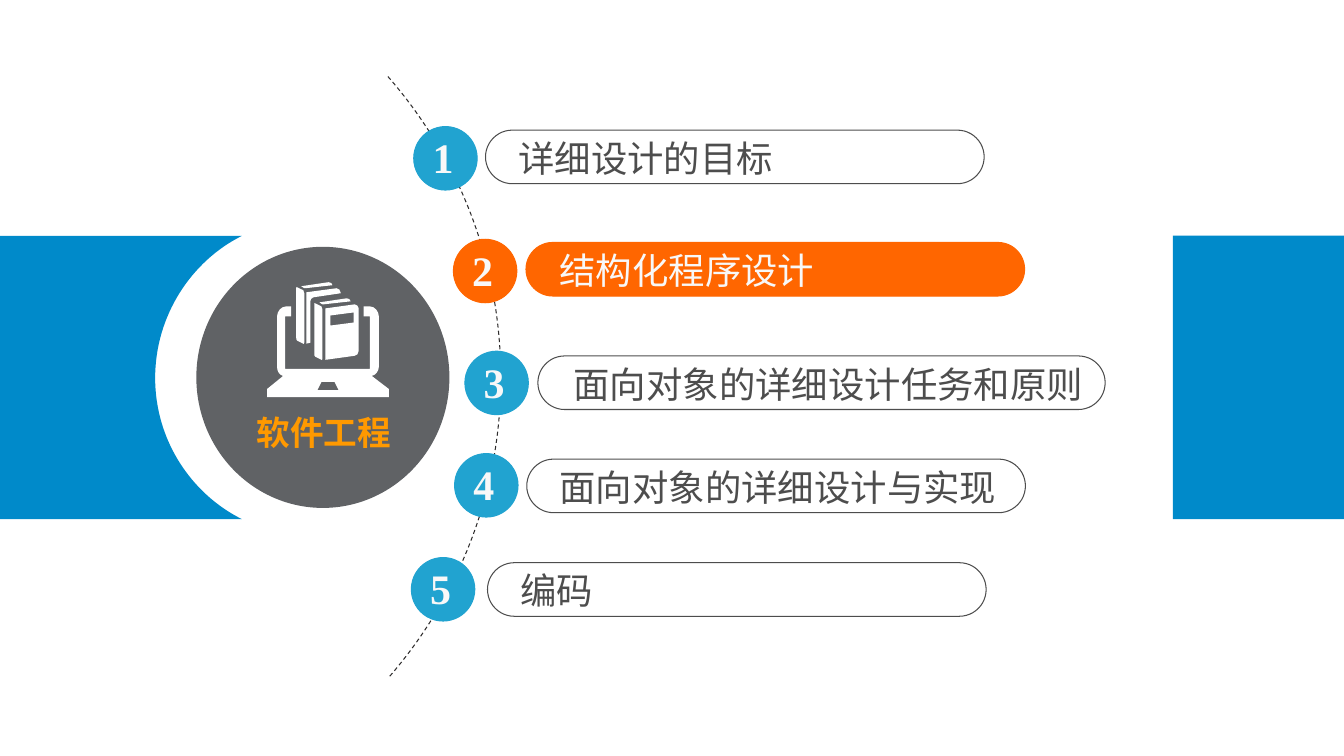
from lxml import etree
from pptx import Presentation
from pptx.dml.color import RGBColor
from pptx.enum.dml import MSO_LINE
from pptx.enum.shapes import MSO_SHAPE
from pptx.enum.text import MSO_ANCHOR, MSO_AUTO_SIZE, PP_ALIGN
from pptx.oxml.ns import qn
from pptx.util import Cm, Pt

RECTANGLE, OVAL, PILL = MSO_SHAPE.RECTANGLE, MSO_SHAPE.OVAL, MSO_SHAPE.ROUNDED_RECTANGLE
LEFT, CENTER = PP_ALIGN.LEFT, PP_ALIGN.CENTER
MIDDLE, NO_FIT, DASH = MSO_ANCHOR.MIDDLE, MSO_AUTO_SIZE.NONE, MSO_LINE.DASH

BLUE = RGBColor(0x00, 0x8A, 0xCA)
SKY = RGBColor(0x21, 0xA3, 0xD0)
ORANGE = RGBColor(0xFF, 0x66, 0x00)
AMBER = RGBColor(0xFF, 0x99, 0x00)
GRAY = RGBColor(0x60, 0x62, 0x65)
DARK = RGBColor(0x4D, 0x4D, 0x4D)
BLACK = RGBColor(0x2E, 0x2C, 0x2C)
PALE = RGBColor(0xF8, 0xF8, 0xF8)
WHITE = RGBColor(0xFF, 0xFF, 0xFF)

HAN_FONT = "Noto Sans CJK SC"
NUMBER_FONT = "Times New Roman"

TITLE = "软件工程"
ACTIVE = 2
# Text, disc left and top, pill left, top and width, text indent, all in centimetres
CHAPTERS = [
    ("详细设计的目标", 10.43, 3.19, 12.24, 3.28, 12.57, 0.63),
    ("结构化程序设计", 11.43, 6.03, 13.26, 6.11, 12.57, 0.65),
    ("面向对象的详细设计任务和原则", 11.72, 8.85, 13.56, 8.97, 14.3, 0.7),
    ("面向对象的详细设计与实现", 11.46, 11.43, 13.28, 11.57, 12.57, 0.63),
    ("编码", 10.37, 14.05, 12.29, 14.18, 12.57, 0.63),
]
DISC_SIZE, PILL_HEIGHT = 1.6, 1.35

GRID = Cm(2.54) / 100
ARC = [[(385, 76), (455, 156, 497, 260, 497, 375), (497, 489, 455, 593, 385, 673)]]
BAND = [[(-2, 234), (240, 234), (190, 259, 154, 313, 154, 375),
         (154, 437, 190, 490, 240, 515), (-2, 515)]]
BACK_BOOK = [
    [(299, 284), (302, 286), (302, 286, 302, 286, 303, 286), (330, 283),
     (330, 281, 328, 280, 326, 280)],
    [(295, 285), (301, 288), (301, 289, 302, 290, 302, 291), (302, 340),
     (302, 341, 301, 342, 301, 341), (295, 338), (294, 338, 294, 336, 294, 335),
     (294, 286), (294, 285, 294, 284, 295, 285)],
]
FRONT_BOOK = [[tuple(value + (18, 16)[index % 2] for index, value in enumerate(step))
               for step in contour] for contour in BACK_BOOK]
COVERS = [
    [(323, 306), (352, 302), (354, 302, 356, 304, 356, 306), (356, 348),
     (356, 351, 354, 353, 352, 353), (323, 357)],
    [(328, 313), (351, 310), (351, 320), (328, 323)],
    [(304, 290), (334, 286), (336, 286, 338, 288, 338, 290), (338, 291), (311, 295),
     (309, 296, 308, 297, 308, 299), (308, 340), (304, 341)],
]
LAPTOP = [
    [(319, 379), (332, 379), (336, 387), (315, 387)],
    [(283, 314), (289, 314), (289, 304), (284, 304), (279, 304, 275, 309, 275, 314),
     (275, 364), (275, 368, 277, 372, 281, 373), (265, 386), (265, 394), (386, 394),
     (386, 386), (369, 373), (373, 372, 376, 368, 376, 364), (376, 314),
     (376, 309, 372, 304, 367, 304), (361, 304), (361, 314), (367, 314),
     (367, 366), (283, 366)],
]


def paint(shape, fill=None, line=None, weight=0.75):
    """Set fill and outline and remove the shadow."""
    shape.shadow.inherit = False
    for part, color in ((shape.fill, fill), (shape.line.fill, line)):
        if color is None:
            part.background()
        else:
            part.solid()
            part.fore_color.rgb = color
    if line is not None:
        shape.line.width = Pt(weight)
    return shape


def draw(page, contours, closed=True, **style):
    """Draw contours as one freeform and bend its curved segments."""
    outlines = [[[round(value * GRID) for value in step] for step in contour] for contour in contours]
    builder = page.shapes.build_freeform(*outlines[0][0])
    for index, outline in enumerate(outlines):
        if index:
            builder.move_to(*outline[0])
        builder.add_line_segments([step[-2:] for step in outline[1:]], close=closed)
    shape = builder.convert_to_shape()

    segments = list(shape._element.iter(qn("a:lnTo")))
    steps = [step for outline in outlines for step in outline[1:]]
    if len(segments) > len(steps):
        steps = [step for outline in outlines for step in outline[1:] + outline[:1]]
    for segment, step in zip(segments, steps):
        if len(step) == 6:
            segment.tag = qn("a:cubicBezTo")
            for index in (2, 0):
                x, y = step[index] - shape.left, step[index + 1] - shape.top
                segment.insert(0, etree.Element(qn("a:pt"), x=str(x), y=str(y)))
    return paint(shape, **style)


def add_preset(page, kind, left, top, width, height, **style):
    """Add a preset shape measured in centimetres."""
    return paint(page.shapes.add_shape(kind, Cm(left), Cm(top), Cm(width), Cm(height)), **style)


def write(shape, text, font_name, size, color, align=CENTER, bold=False, margins=(0, 0, 0, 0)):
    """Write one formatted line in a shape."""
    box = shape.text_frame
    box.text = text
    box.word_wrap = False
    box.auto_size = NO_FIT
    box.vertical_anchor = MIDDLE
    box.margin_left, box.margin_top, box.margin_right, box.margin_bottom = map(Cm, margins)
    para = box.paragraphs[0]
    para.alignment = align
    font = para.font
    font.name, font.size, font.bold = font_name, Pt(size), bold
    font.color.rgb = color
    properties = para._p.pPr.find(qn("a:defRPr"))
    properties.find(qn("a:latin")).addnext(etree.Element(qn("a:ea"), typeface=font_name))


def main():
    """Build the chapter overview slide."""
    deck = Presentation()
    deck.slide_width, deck.slide_height = Cm(33.88), Cm(19.05)
    page = deck.slides.add_slide(deck.slide_layouts[5])

    add_preset(page, RECTANGLE, 29.57, 5.94, 4.34, 7.14, fill=BLUE)
    draw(page, ARC, closed=False, line=BLACK, weight=0).line.dash_style = DASH
    add_preset(page, OVAL, 4.95, 6.22, 6.38, 6.58, fill=GRAY)
    draw(page, BACK_BOOK + FRONT_BOOK + COVERS + LAPTOP, fill=WHITE)

    title = page.shapes.title
    title.left, title.top, title.width, title.height = Cm(6.22), Cm(10.26), Cm(4.06), Cm(1.27)
    write(title, TITLE, HAN_FONT, 24, AMBER, align=LEFT, bold=True, margins=(0.25, 0, 0, 0))
    page.shapes._spTree.append(title._element)
    draw(page, BAND, fill=BLUE)

    for number, chapter in enumerate(CHAPTERS, 1):
        text, disc_left, disc_top, pill_left, pill_top, pill_width, indent = chapter
        active = number == ACTIVE
        pill = add_preset(page, PILL, pill_left, pill_top, pill_width, PILL_HEIGHT,
                          fill=ORANGE if active else None, line=ORANGE if active else DARK)
        pill.adjustments[0] = 0.5
        write(pill, text, HAN_FONT, 26, PALE if active else DARK, align=LEFT,
              margins=(indent, 0.04, 0, 0))
        accent = ORANGE if active else SKY
        disc = add_preset(page, OVAL, disc_left, disc_top, DISC_SIZE, DISC_SIZE,
                          fill=accent, line=accent)
        write(disc, str(number), NUMBER_FONT, 30, PALE, bold=True, margins=(0, 0, 0.12, 0.06))

    deck.save("out.pptx")


if __name__ == "__main__":
    main()
